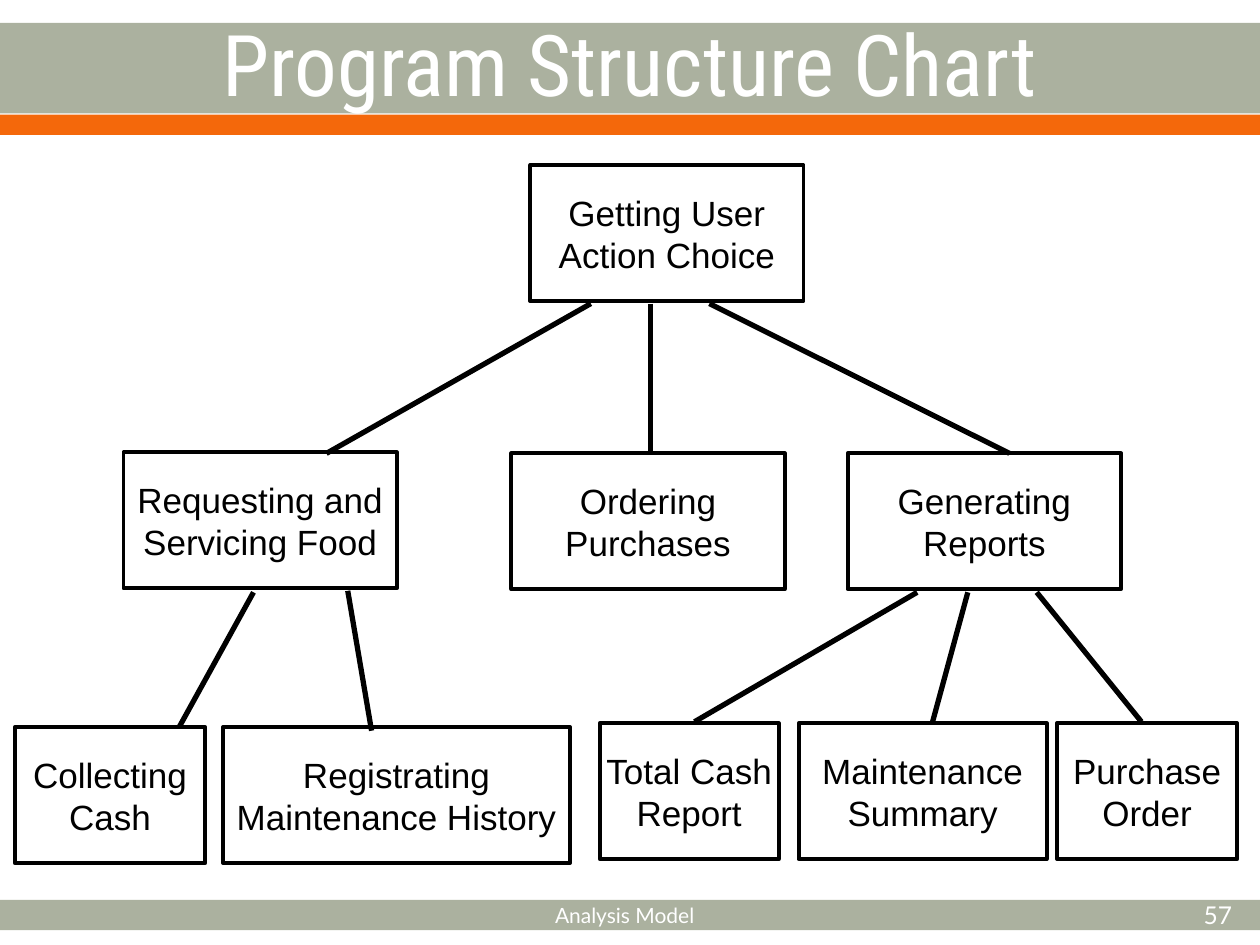
from dataclasses import dataclass

from lxml import etree
from pptx import Presentation
from pptx import util as u
from pptx.dml.color import RGBColor
from pptx.enum import shapes, text
from pptx.oxml.ns import qn

BLACK, WHITE, SAGE, ORANGE = "000000", "FFFFFF", "ABB19F", "F4680B"
PAGE_WIDTH = 25.4
BOX_WIDTH, BOX_HEIGHT = 5.51, 2.74
ROOT_BOTTOM, BRANCH_TOP, BRANCH_BOTTOM = 6.12, 9.14, 11.94
CASH_TOP, REPORT_TOP = 14.66, 14.58


@dataclass(frozen=True)
class Band:
    top: float
    height: float
    color: str


@dataclass(frozen=True)
class Module:
    lines: tuple[str, ...]
    left: float
    top: float
    width: float = BOX_WIDTH


@dataclass(frozen=True)
class Link:
    x1: float
    y1: float
    x2: float
    y2: float


BANDS = [Band(18.14, 0.61, SAGE), Band(0.46, 1.83, SAGE), Band(2.31, 0.41, ORANGE)]

MODULES = [
    Module(("Getting User", "Action Choice"), 10.69, 3.33),
    Module(("Requesting and", "Servicing Food"), 2.49, 9.12),
    Module(("Ordering", "Purchases"), 10.31, BRANCH_TOP),
    Module(("Generating", "Reports"), 17.09, BRANCH_TOP),
    Module(("Collecting", "Cash"), 0.3, CASH_TOP, 3.84),
    Module(("Registrating", "Maintenance History"), 4.5, CASH_TOP, 6.99),
    Module(("Total Cash", "Report"), 12.09, REPORT_TOP, 3.61),
    Module(("Maintenance", "Summary"), 16.1, REPORT_TOP, 5.0),
    Module(("Purchase", "Order"), 21.31, REPORT_TOP, 3.63),
]

LINKS = [
    Link(11.91, ROOT_BOTTOM, 6.58, BRANCH_TOP),
    Link(13.11, ROOT_BOTTOM, 13.11, 9.09),
    Link(14.3, ROOT_BOTTOM, 20.35, BRANCH_TOP),
    Link(5.11, BRANCH_BOTTOM, 3.61, CASH_TOP),
    Link(7.01, 11.91, 7.49, 14.73),
    Link(18.49, BRANCH_BOTTOM, 14.0, 14.55),
    Link(19.51, BRANCH_BOTTOM, 18.8, 14.55),
    Link(20.9, BRANCH_BOTTOM, 23.01, 14.55),
]


def rgb(color: str) -> RGBColor:
    return RGBColor.from_string(color)


def write(frame, lines: tuple[str, ...], size: float, font: str, color: str,
          align=text.PP_ALIGN.CENTER, wrap: bool = True) -> None:
    """Fill a text frame with one paragraph per line, centred vertically."""
    frame.word_wrap = wrap
    frame.auto_size = text.MSO_AUTO_SIZE.NONE
    frame.vertical_anchor = text.MSO_ANCHOR.MIDDLE
    for index, line in enumerate(lines):
        para = frame.add_paragraph() if index else frame.paragraphs[0]
        para.alignment = align
        span = para.add_run()
        span.text = line
        span.font.size = u.Pt(size)
        span.font.name = font
        span.font.color.rgb = rgb(color)


def add_rectangle(page, left: float, top: float, width: float, height: float):
    box = page.shapes.add_shape(shapes.MSO_SHAPE.RECTANGLE, u.Cm(left), u.Cm(top),
                                u.Cm(width), u.Cm(height))
    box.shadow.inherit = False
    return box


def draw_band(page, band: Band) -> None:
    box = add_rectangle(page, 0, band.top, PAGE_WIDTH, band.height)
    box.fill.solid()
    box.fill.fore_color.rgb = rgb(band.color)
    box.line.fill.background()


def draw_module(page, module: Module) -> None:
    box = add_rectangle(page, module.left, module.top, module.width, BOX_HEIGHT)
    box.fill.background()
    box.line.color.rgb = rgb(BLACK)
    box.line.width = u.Pt(2.25)
    write(box.text_frame, module.lines, 20, "Arial", BLACK, wrap=False)


def draw_link(page, link: Link) -> None:
    line = page.shapes.add_connector(shapes.MSO_CONNECTOR.STRAIGHT, u.Cm(link.x1),
                                     u.Cm(link.y1), u.Cm(link.x2), u.Cm(link.y2))
    line.line.color.rgb = rgb(BLACK)
    line.line.width = u.Pt(3)
    etree.SubElement(line._element.spPr, qn("a:effectLst"))


def draw_title(page, title: str) -> None:
    box = page.shapes.title
    box.left, box.top = u.Cm(0), u.Cm(0.48)
    box.width, box.height = u.Cm(PAGE_WIDTH), u.Cm(1.57)
    write(box.text_frame, (title,), 48.6, "Roboto Condensed", WHITE)


def draw_footer(page, label: str, left: float, width: float, size: float, align) -> None:
    box = page.shapes.add_textbox(u.Cm(left), u.Cm(17.93), u.Cm(width), u.Cm(1.02))
    write(box.text_frame, (label,), size, "Lato", WHITE, align)


def main() -> None:
    deck = Presentation()
    deck.slide_width, deck.slide_height = u.Cm(PAGE_WIDTH), u.Cm(19.05)
    page = deck.slides.add_slide(deck.slide_layouts.get_by_name("Title Only"))
    for band in BANDS:
        draw_band(page, band)
    for module in MODULES:
        draw_module(page, module)
    for link in LINKS:
        draw_link(page, link)
    draw_title(page, "Program Structure Chart")
    # Bring the title in front of the band it sits on.
    page.shapes._spTree.append(page.shapes.title._element)
    draw_footer(page, "Analysis Model", 5.89, 13.41, 12, text.PP_ALIGN.CENTER)
    draw_footer(page, "57", 20.7, 4.39, 14, text.PP_ALIGN.RIGHT)
    deck.save("out.pptx")


if __name__ == "__main__":
    main()
